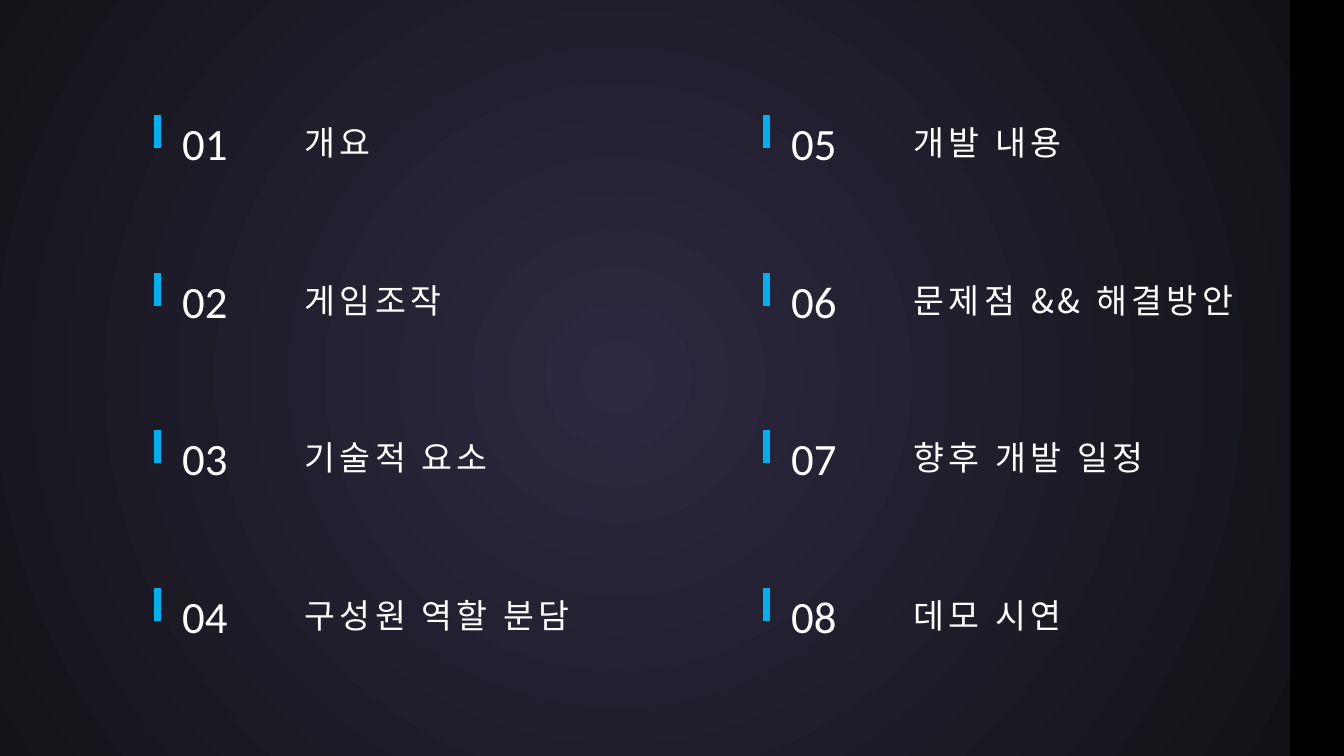
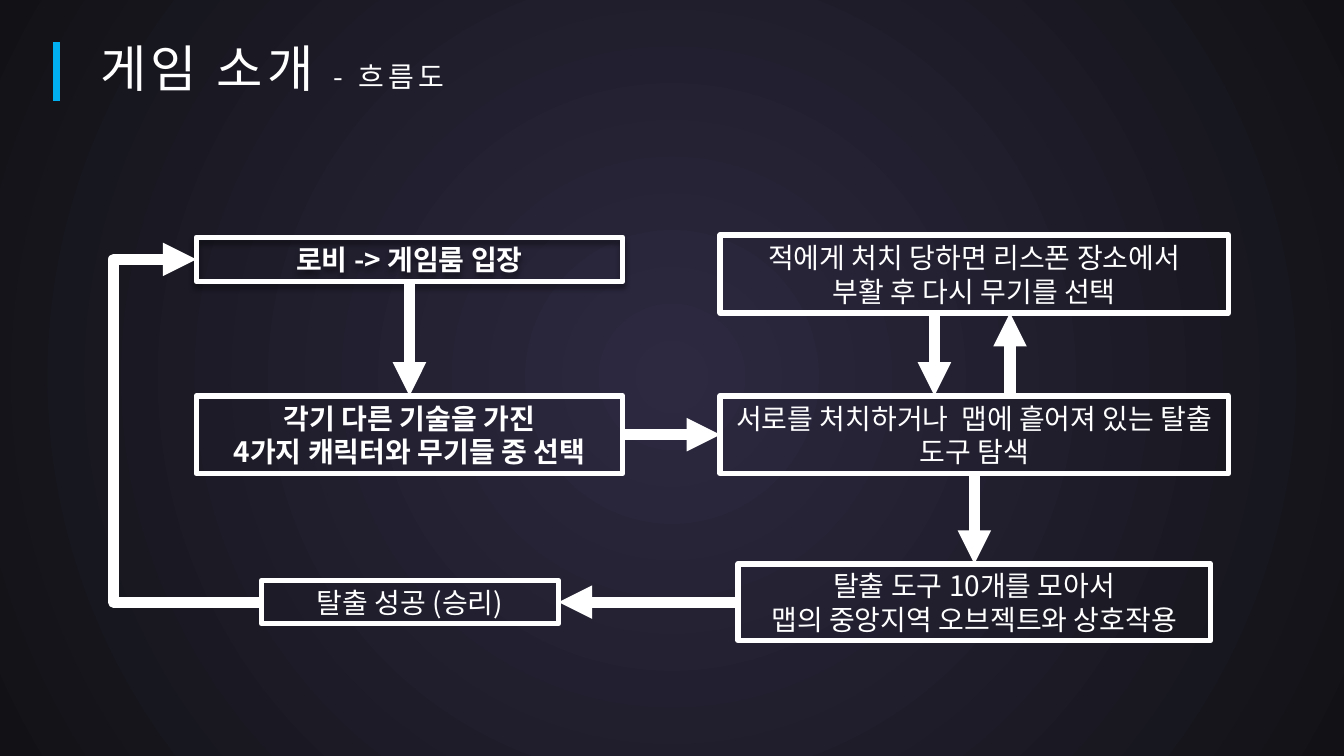
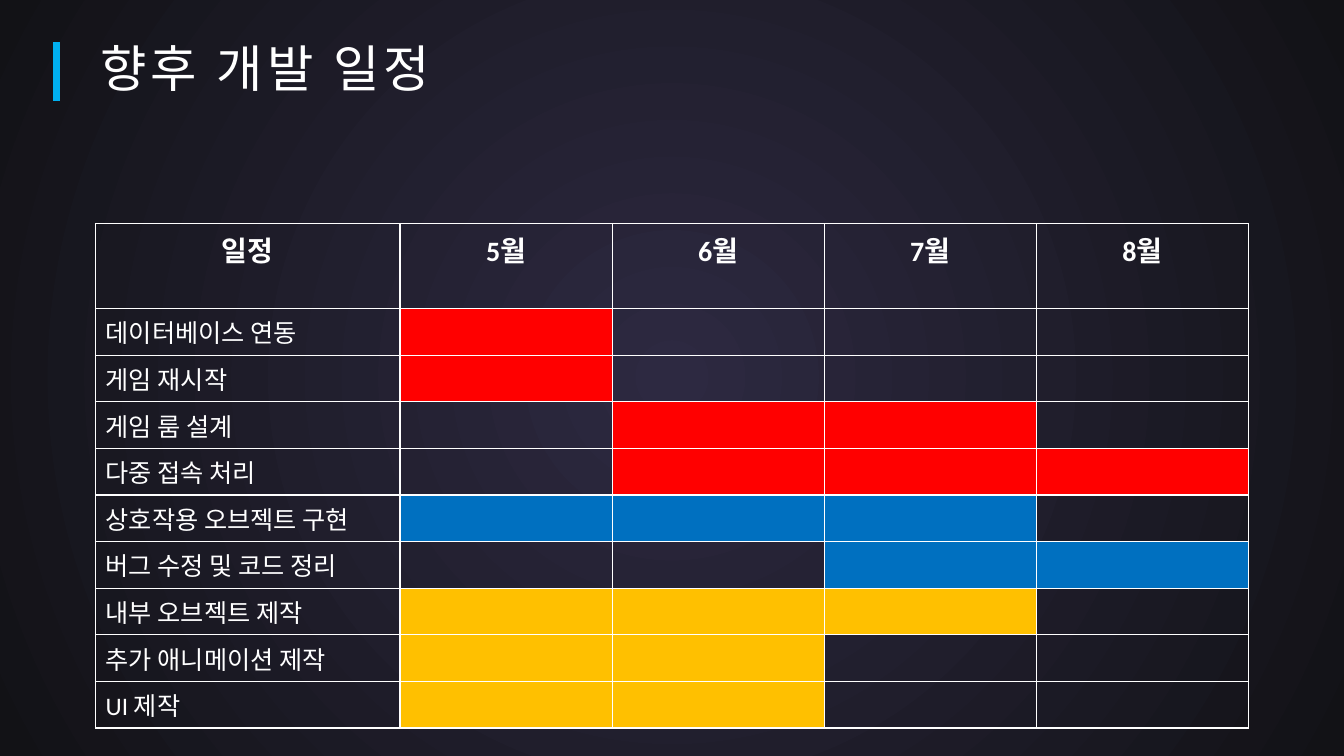
from dataclasses import dataclass

from lxml.etree import SubElement
from pptx import Presentation
from pptx.dml.color import RGBColor as Rgb
from pptx.enum.shapes import MSO_CONNECTOR as Link, MSO_SHAPE as Shape
from pptx.enum.text import MSO_ANCHOR as Anchor, MSO_AUTO_SIZE as Fit, PP_ALIGN as Align
from pptx.oxml.ns import qn
from pptx.util import Pt

PX = 9525  # EMU in one px; the slide is 1280 x 720 px
WIDE, HIGH = 1280, 720


@dataclass(frozen=True)
class Theme:
    black: str = "000000"
    glow: str = "2D2941"
    dusk: str = "121216"
    white: str = "FFFFFF"
    accent: str = "00B0F0"
    red: str = "FF0000"
    blue: str = "0070C0"
    gold: str = "FFC000"
    latin: str = "Calibri"
    korean: str = "Noto Sans CJK KR"
    title: int = 36
    number: int = 32
    item: int = 24
    body: int = 20
    cell: int = 18
    bar: float = 5.25
    arrow: int = 8
    frame: int = 4


T = Theme()
TOP, LEFT, BOTTOM, RIGHT = range(4)  # connection sites of a rectangle


def px(*nums):
    return [round(n * PX) for n in nums]


def node(parent, tag, **attrs):
    return SubElement(parent, qn(tag), {k: str(v) for k, v in attrs.items()})


def write(frame, *lines, size=T.body, font=T.korean, color=T.white, bold=False,
          track=0, lead=None, before=0, align=Align.LEFT):
    """Fill a frame; a line is a string or a list of (text, size) runs."""
    frame.word_wrap = True
    for i, line in enumerate(lines):
        para = frame.add_paragraph() if i else frame.paragraphs[0]
        para.alignment = align
        para.space_before = Pt(before)
        if lead:
            para.line_spacing = lead
        for text, pts in [(line, size)] if isinstance(line, str) else line:
            run = para.add_run()
            run.text = text
            run.font.size = Pt(pts)
            run.font.bold = bold
            run.font.color.rgb = Rgb.from_string(color)
            run.font.name = font
            props = run.font._element
            node(props, "a:ea", typeface=T.korean)
            if track:
                props.set("spc", str(track * 100))


def note(slide, box, text, **style):
    write(slide.shapes.add_textbox(*px(*box)).text_frame, text, **style)


def stroke(slide, start, end, color=T.white, width=T.arrow, head=False, kind=Link.STRAIGHT):
    line = slide.shapes.add_connector(kind, *px(*start, *end))
    line.line.color.rgb = Rgb.from_string(color)
    line.line.width = Pt(width)
    props = line.element.spPr
    if head:
        node(props.find(qn("a:ln")), "a:tailEnd", type="triangle")
    node(props, "a:effectLst")
    return line


def bar(slide, x, y, size):
    stroke(slide, (x, y + size), (x, y), T.accent, T.bar)


def backdrop(slide, x=0):
    """Round glow behind everything else on the slide."""
    panel = slide.shapes.add_shape(Shape.RECTANGLE, *px(x, -2, WIDE, HIGH + 2))
    panel.shadow.inherit = False
    panel.line.fill.background()
    panel.fill.gradient()
    for stop, color in zip(panel.fill.gradient_stops, (T.glow, T.dusk)):
        stop.color.rgb = Rgb.from_string(color)
    grad = panel.element.spPr.find(qn("a:gradFill"))
    grad.remove(grad.find(qn("a:lin")))
    way = node(grad, "a:path", path="circle")
    node(way, "a:fillToRect", l=50000, t=50000, r=50000, b=50000)
    panel.element.getparent().insert(2, panel.element)


def topic(deck, *runs):
    """Add a slide with the shared backdrop, title and accent bar."""
    slide = deck.slides.add_slide(deck.slide_layouts[5])
    backdrop(slide)
    title = slide.shapes.title
    title.left, title.top, title.width, title.height = px(86, 19, 426, 97)
    frame = title.text_frame
    frame.auto_size = Fit.NONE
    frame.vertical_anchor = Anchor.MIDDLE
    write(frame, list(runs), track=3, lead=0.9)
    bar(slide, 54, 40, 56)
    return slide


def entry(slide, x, y, num, text):
    bar(slide, x, y, 31)
    note(slide, (x + 131, y - 20, 370, 61), text, size=T.item, track=3, lead=Pt(45))
    note(slide, (x + 14, y - 30, 138, 120), f"{num:02}", size=T.number,
         font=T.latin, lead=1.5, before=10)


def agenda(deck):
    slide = deck.slides.add_slide(deck.slide_layouts[6])
    backdrop(slide, -51)
    items = ("개요", "게임조작", "기술적 요소", "구성원 역할 분담",
             "개발 내용", "문제점 && 해결방안", "향후 개발 일정", "데모 시연")
    for i, text in enumerate(items):
        col, row = divmod(i, 4)
        entry(slide, 150 + 580 * col, 110 + 150 * row, i + 1, text)


def step(slide, box, *lines, bold=False, shade=False):
    shape = slide.shapes.add_shape(Shape.RECTANGLE, *px(*box))
    shape.fill.background()
    shape.line.color.rgb = Rgb.from_string(T.white)
    shape.line.width = Pt(T.frame)
    shape.shadow.inherit = False
    if shade:
        drop = node(shape.element.spPr.find(qn("a:effectLst")), "a:outerShdw",
                    blurRad=Pt(4), dist=Pt(3), dir=5400000, rotWithShape=0)
        node(node(drop, "a:srgbClr", val=T.black), "a:alpha", val=40000)
    shape.text_frame.vertical_anchor = Anchor.MIDDLE
    write(shape.text_frame, *lines, bold=bold, lead=Pt(24), align=Align.CENTER)
    return shape


def join(slide, start, out, end, into, kind=Link.STRAIGHT):
    line = stroke(slide, (0, 0), (0, 0), head=True, kind=kind)
    line.begin_connect(start, out)
    line.end_connect(end, into)
    return line


def detour(line, ratio):
    """Turn an elbow half round and push its middle part outward."""
    props = line.element.spPr
    frame = props.find(qn("a:xfrm"))
    for flip in ("flipH", "flipV"):
        frame.attrib.pop(flip, None)
    frame.set("rot", "10800000")
    geom = props.find(qn("a:prstGeom"))
    vals = geom.find(qn("a:avLst"))
    if vals is None:
        vals = node(geom, "a:avLst")
    node(vals, "a:gd", name="adj1", fmla=f"val {round(ratio * 100000)}")


def flow(deck):
    slide = topic(deck, ("게임 소개 ", T.title), ("- 흐름도", T.body))
    lobby = step(slide, (187, 226, 406, 42), "로비 -> 게임룸 입장", bold=True, shade=True)
    pick = step(slide, (187, 377, 406, 74), "각기 다른 기술을 가진",
                "4가지 캐릭터와 무기들 중 선택", bold=True)
    step(slide, (686, 224, 484, 74), "적에게 처치 당하면 리스폰 장소에서",
         "부활 후 다시 무기를 선택")
    hunt = step(slide, (686, 377, 484, 74),
                "서로를 처치하거나  맵에 흩어져 있는 탈출 도구 탐색")
    gather = step(slide, (703, 537, 450, 73), "탈출 도구 10개를 모아서",
                  "맵의 중앙지역 오브젝트와 상호작용")
    win = step(slide, (249, 553, 283, 41), "탈출 성공 (승리)")

    join(slide, lobby, BOTTOM, pick, TOP)
    join(slide, pick, RIGHT, hunt, LEFT)
    join(slide, hunt, BOTTOM, gather, TOP)
    join(slide, gather, LEFT, win, RIGHT)
    detour(join(slide, win, LEFT, lobby, LEFT, Link.ELBOW), 2.27)
    stroke(slide, (890, 300), (890, 377), head=True)
    stroke(slide, (962, 374), (962, 298), head=True)


def paint(cell, color=None):
    """Give a cell white borders and a fill, if any."""
    if color:
        cell.fill.solid()
        cell.fill.fore_color.rgb = Rgb.from_string(color)
    else:
        cell.fill.background()
    props = cell._tc.get_or_add_tcPr()
    for i, side in enumerate("LRTB"):
        edge = node(props, f"a:ln{side}", w=Pt(1))
        node(node(edge, "a:solidFill"), "a:srgbClr", val=T.white)
        props.insert(i, edge)


def gantt(slide, x, y, heads, plan):
    """Draw a month table; a plan row is task, colour, first and last month column."""
    widths = [290] + [202] * (len(heads) - 1)
    heights = [81] + [44] * len(plan)
    grid = slide.shapes.add_table(len(heights), len(widths),
                                  *px(x, y, sum(widths), sum(heights))).table
    grid.first_row = grid.horz_banding = False
    for col, width in zip(grid.columns, px(*widths)):
        col.width = width
    for row, height in zip(grid.rows, px(*heights)):
        row.height = height
    for c, head in enumerate(heads):
        paint(grid.cell(0, c))
        write(grid.cell(0, c).text_frame, head, font=T.latin, bold=True, align=Align.CENTER)
    for r, (task, color, first, last) in enumerate(plan, 1):
        for c in range(len(heads)):
            paint(grid.cell(r, c), color if first <= c <= last else None)
        write(grid.cell(r, 0).text_frame, task, size=T.cell, font=T.latin)


def schedule(deck):
    slide = topic(deck, ("향후 개발 일정", T.title))
    gantt(slide, 91, 213, ("일정", "5월", "6월", "7월", "8월"), (
        ("데이터베이스 연동", T.red, 1, 1),
        ("게임 재시작", T.red, 1, 1),
        ("게임 룸 설계", T.red, 2, 3),
        ("다중 접속 처리", T.red, 2, 4),
        ("상호작용 오브젝트 구현", T.blue, 1, 3),
        ("버그 수정 및 코드 정리", T.blue, 3, 4),
        ("내부 오브젝트 제작", T.gold, 1, 3),
        ("추가 애니메이션 제작", T.gold, 1, 2),
        ("UI 제작", T.gold, 1, 2),
    ))


def main():
    deck = Presentation()
    deck.slide_width, deck.slide_height = px(WIDE, HIGH)
    back = deck.slide_master.background.fill
    back.solid()
    back.fore_color.rgb = Rgb.from_string(T.black)
    agenda(deck)
    flow(deck)
    schedule(deck)
    deck.save("out.pptx")


if __name__ == "__main__":
    main()
